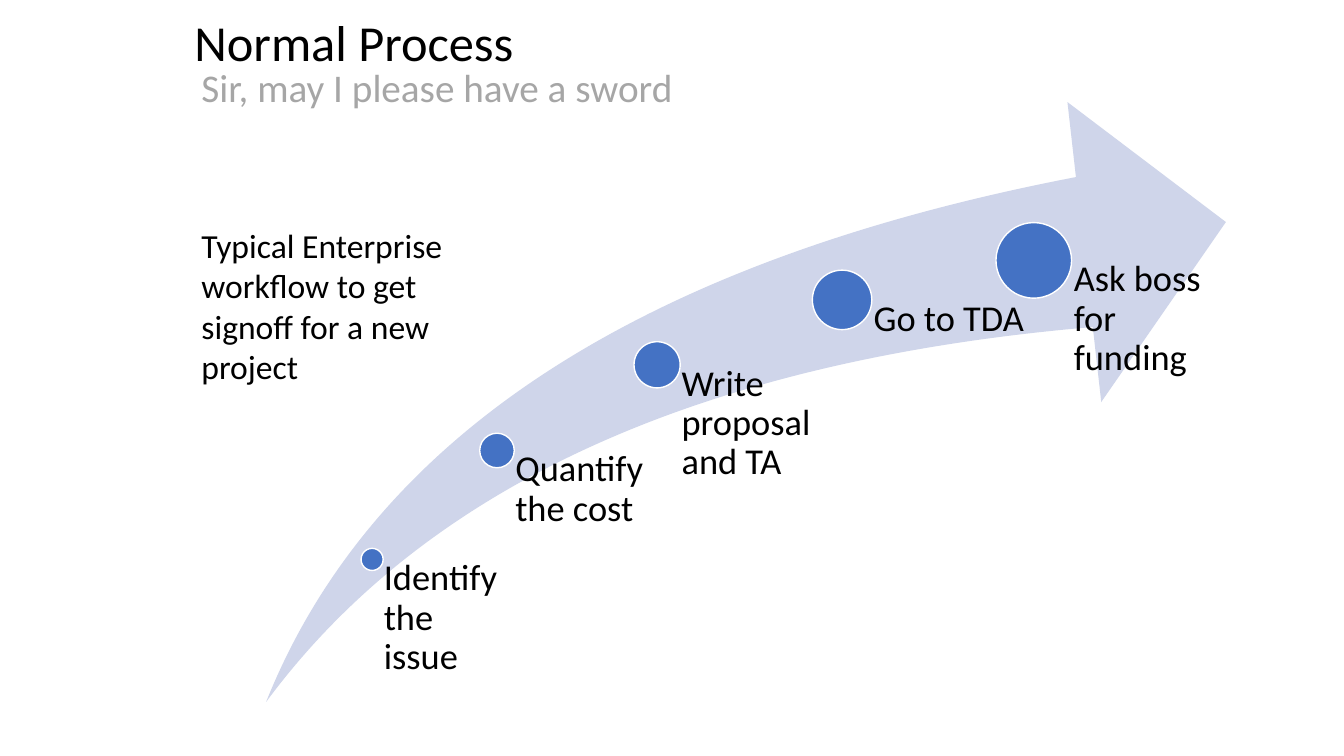
from pptx import Presentation
from pptx.dml.color import RGBColor as RGB
from pptx.enum.shapes import MSO_SHAPE as SHAPE
from pptx.enum.text import MSO_ANCHOR as ANCHOR
from pptx.util import Pt

TITLE = "Normal Process"
QUOTE = "Sir, may I please have a sword"
NOTE = "Typical Enterprise workflow to get signoff for a new project"
STEPS = [
    ("Identify the issue", 265.8, 399.6, 15.8, 90),
    ("Quantify the cost", 355, 321.8, 24.7, 113.8),
    ("Write proposal and TA", 469.4, 260.6, 33, 132.5),
    ("Go to TDA", 601.5, 214.2, 42.5, 136.8),
    ("Ask boss for funding", 738.4, 186, 54, 136.8),
]
COLORS = {"text": "000000", "quote": "A6A6A6", "arrow": "CFD5EA",
          "dot": "4472C4", "edge": "FFFFFF"}
FLOOR = 501.5

deck = Presentation()
deck.slide_width, deck.slide_height = Pt(960), Pt(540)
slide = deck.slides.add_slide(deck.slide_layouts[6])


def color(name):
    return RGB.from_string(COLORS[name])


def write(text, left, top, width, height, size, tint="text", wrap=True,
          anchor=ANCHOR.TOP, inset=(7.2, 3.6, 7.2, 3.6), space=1.0):
    box = slide.shapes.add_textbox(Pt(left), Pt(top), Pt(width), Pt(height))
    frame = box.text_frame
    frame.word_wrap = wrap
    frame.vertical_anchor = anchor
    (frame.margin_left, frame.margin_top,
     frame.margin_right, frame.margin_bottom) = map(Pt, inset)
    para = frame.paragraphs[0]
    para.line_spacing = space
    run = para.add_run()
    run.text = text
    run.font.name = "Calibri"
    run.font.size = Pt(size)
    run.font.color.rgb = color(tint)


def draw(kind, left, top, width, height, fill):
    shape = slide.shapes.add_shape(kind, Pt(left), Pt(top), Pt(width), Pt(height))
    shape.shadow.inherit = False
    shape.fill.solid()
    shape.fill.fore_color.rgb = color(fill)
    return shape


write(TITLE, 131.8, 7.9, 653, 48.2, 36, anchor=ANCHOR.MIDDLE, space=0.9)
write(QUOTE, 136.8, 41.8, 354.2, 41, 28, tint="quote", wrap=False)

arrow = draw(SHAPE.SWOOSH_ARROW, 190.1, 72.9, 685.6, 428.5, "arrow")
arrow.adjustments[0] = arrow.adjustments[1] = 0.25
arrow.line.fill.background()

for label, x, y, size, width in STEPS:
    dot = draw(SHAPE.OVAL, x - size / 2, y - size / 2, size, size, "dot")
    dot.line.color.rgb = color("edge")
    dot.line.width = Pt(1)
    write(label, x, y, width, FLOOR - y, 26,
          inset=(size * 0.53, 0, 0, 0), space=0.9)

write(NOTE, 136.8, 157, 206, 123.8, 24)
deck.save("out.pptx")
